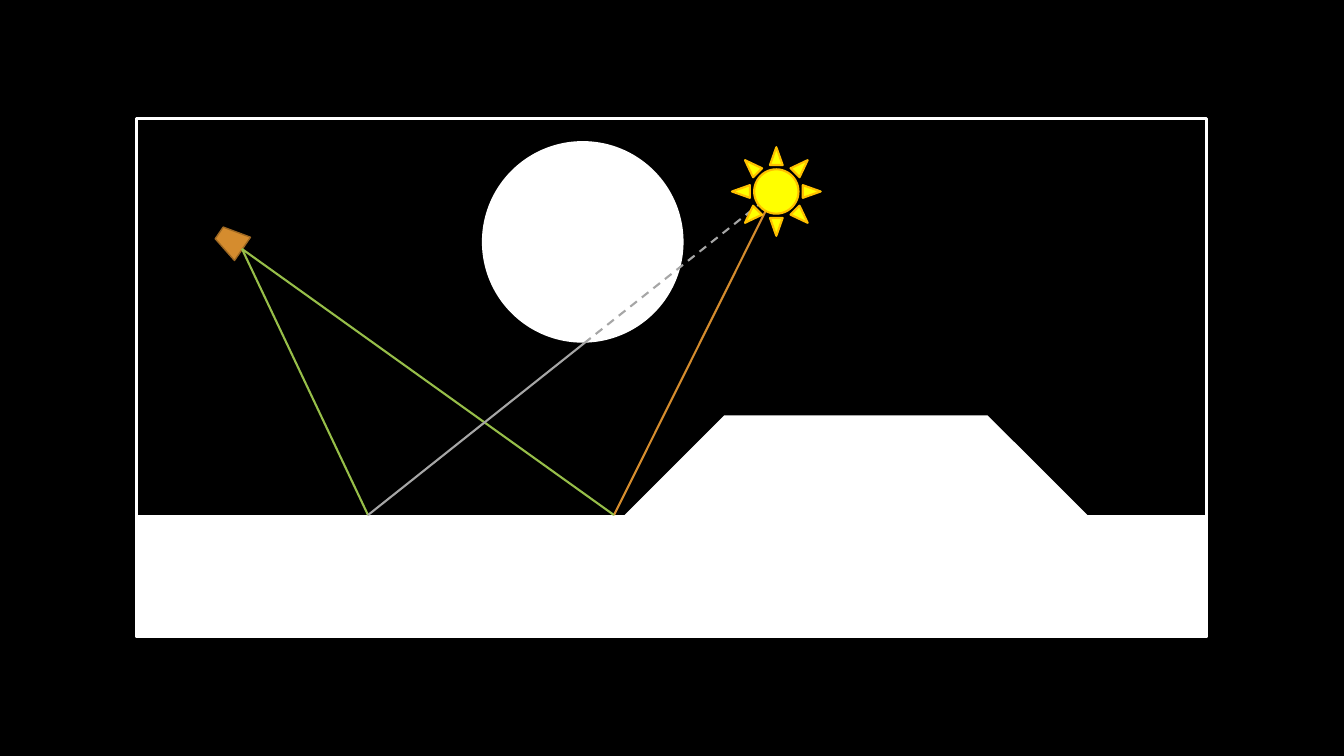
from dataclasses import dataclass
from typing import Optional

from pptx import Presentation
from pptx.dml.color import RGBColor
from pptx.enum.dml import MSO_LINE
from pptx.enum.shapes import MSO_CONNECTOR, MSO_SHAPE
from pptx.oxml.ns import qn
from pptx.util import Emu, Pt

EMU_PER_PX = 9144  # 100 px to the inch

BLACK = RGBColor(0x00, 0x00, 0x00)
WHITE = RGBColor(0xFF, 0xFF, 0xFF)
YELLOW = RGBColor(0xFF, 0xFF, 0x00)
GOLD = RGBColor(0xFF, 0xC0, 0x00)
ORANGE = RGBColor(0xD5, 0x8C, 0x2E)
BROWN = RGBColor(0x9E, 0x68, 0x22)
GREEN = RGBColor(0x97, 0xBE, 0x49)
GRAY = RGBColor(0xA6, 0xA6, 0xA6)

Point = tuple[int, int]


@dataclass(frozen=True)
class Body:
    preset: MSO_SHAPE
    box: tuple[int, int, int, int]
    fill: Optional[RGBColor] = None
    outline: Optional[RGBColor] = None
    outline_pt: float = 1
    rotation: float = 0
    adjustments: tuple[float, ...] = ()


@dataclass(frozen=True)
class Ray:
    start: Point
    end: Point
    color: RGBColor
    dashed: bool = False


def px(length: int) -> Emu:
    return Emu(length * EMU_PER_PX)


def draw_body(slide, body: Body) -> None:
    shape = slide.shapes.add_shape(body.preset, *map(px, body.box))
    shape.shadow.inherit = False
    shape.rotation = body.rotation
    for index, value in enumerate(body.adjustments):
        shape.adjustments[index] = value
    if body.fill is None:
        shape.fill.background()
    else:
        shape.fill.solid()
        shape.fill.fore_color.rgb = body.fill
    if body.outline is None:
        shape.line.fill.background()
    else:
        shape.line.color.rgb = body.outline
        shape.line.width = Pt(body.outline_pt)


def draw_ray(slide, ray: Ray) -> None:
    line = slide.shapes.add_connector(
        MSO_CONNECTOR.STRAIGHT, *map(px, ray.start + ray.end))
    line.line.color.rgb = ray.color
    line.line.width = Pt(1.5)
    if ray.dashed:
        line.line.dash_style = MSO_LINE.DASH
    properties = line._element.spPr
    properties.append(properties.makeelement(qn("a:effectLst"), {}))


# Points where the rays meet the scene
CAMERA_LENS = (240, 247)
SUN_CENTER = (769, 190)
SHADOWED_POINT = (365, 511)
LIT_POINT = (609, 511)
BLOCKING_POINT = (580, 340)

SCENERY = [
    Body(MSO_SHAPE.OVAL, (478, 140, 200, 200), WHITE),
    Body(MSO_SHAPE.SNIP_2_SAME_RECTANGLE, (619, 412, 460, 199), WHITE,
         adjustments=(0.5, 0)),
    Body(MSO_SHAPE.RECTANGLE, (135, 511, 1062, 121), WHITE),
    Body(MSO_SHAPE.RECTANGLE, (135, 118, 1062, 513), outline=WHITE,
         outline_pt=2.25),
]
CAMERA = Body(MSO_SHAPE.TRAPEZOID, (215, 225, 28, 28), ORANGE, BROWN,
              rotation=304.5)
SUN = Body(MSO_SHAPE.SUN, (726, 146, 88, 88), YELLOW, GOLD, outline_pt=1.5)

RAYS = [
    Ray(SUN_CENTER, LIT_POINT, ORANGE),
    Ray(CAMERA_LENS, LIT_POINT, GREEN),
    Ray(CAMERA_LENS, SHADOWED_POINT, GREEN),
    Ray(BLOCKING_POINT, SHADOWED_POINT, GRAY),
    Ray(SUN_CENTER, BLOCKING_POINT, GRAY, dashed=True),
]


def main() -> None:
    presentation = Presentation()
    presentation.slide_width = px(1333)
    presentation.slide_height = px(750)
    slide = presentation.slides.add_slide(presentation.slide_layouts[6])
    slide.background.fill.solid()
    slide.background.fill.fore_color.rgb = BLACK

    # Scene and camera, then the rays, with the sun covering their ends
    for body in [*SCENERY, CAMERA]:
        draw_body(slide, body)
    for ray in RAYS:
        draw_ray(slide, ray)
    draw_body(slide, SUN)

    presentation.save("out.pptx")


if __name__ == "__main__":
    main()
